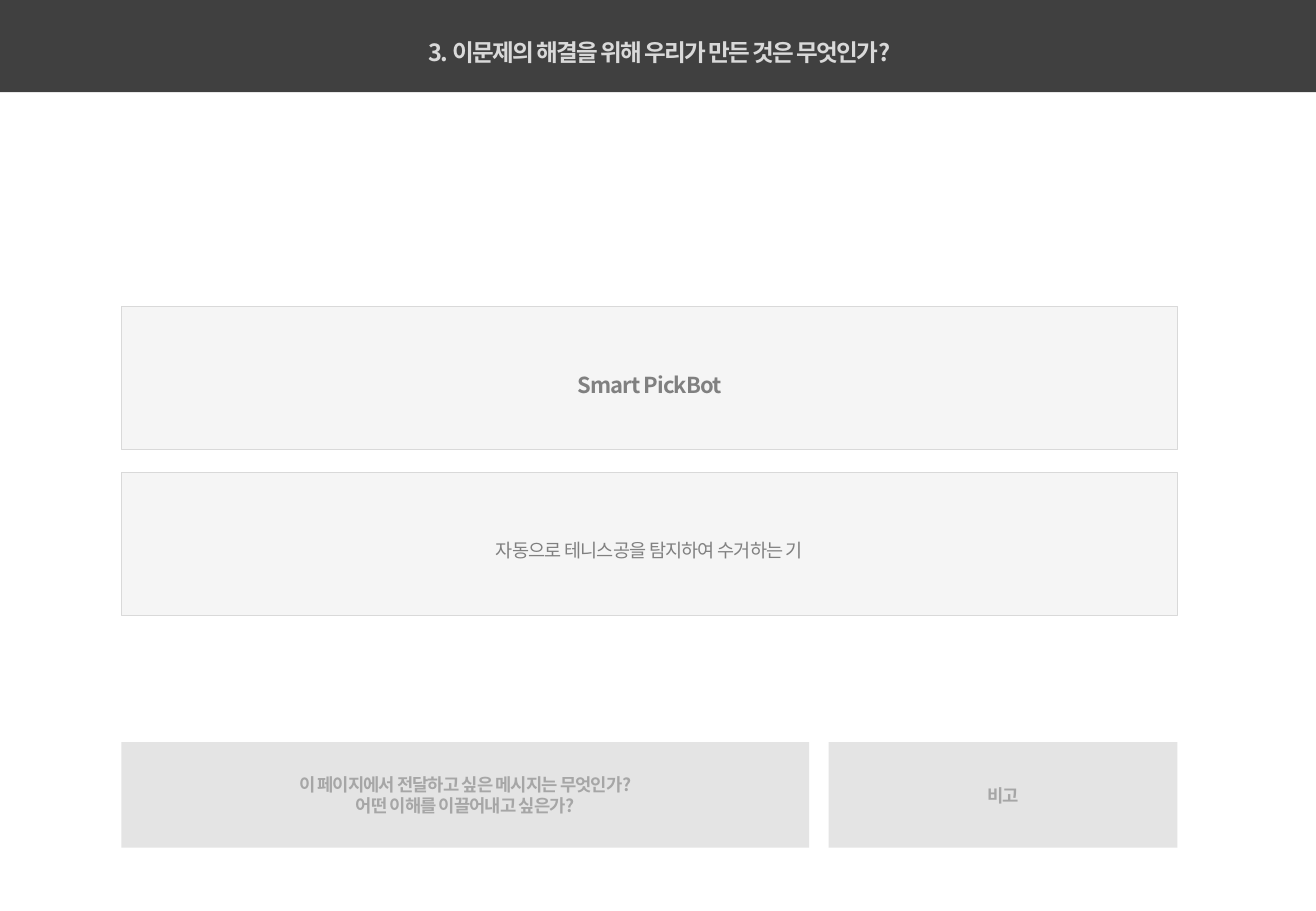
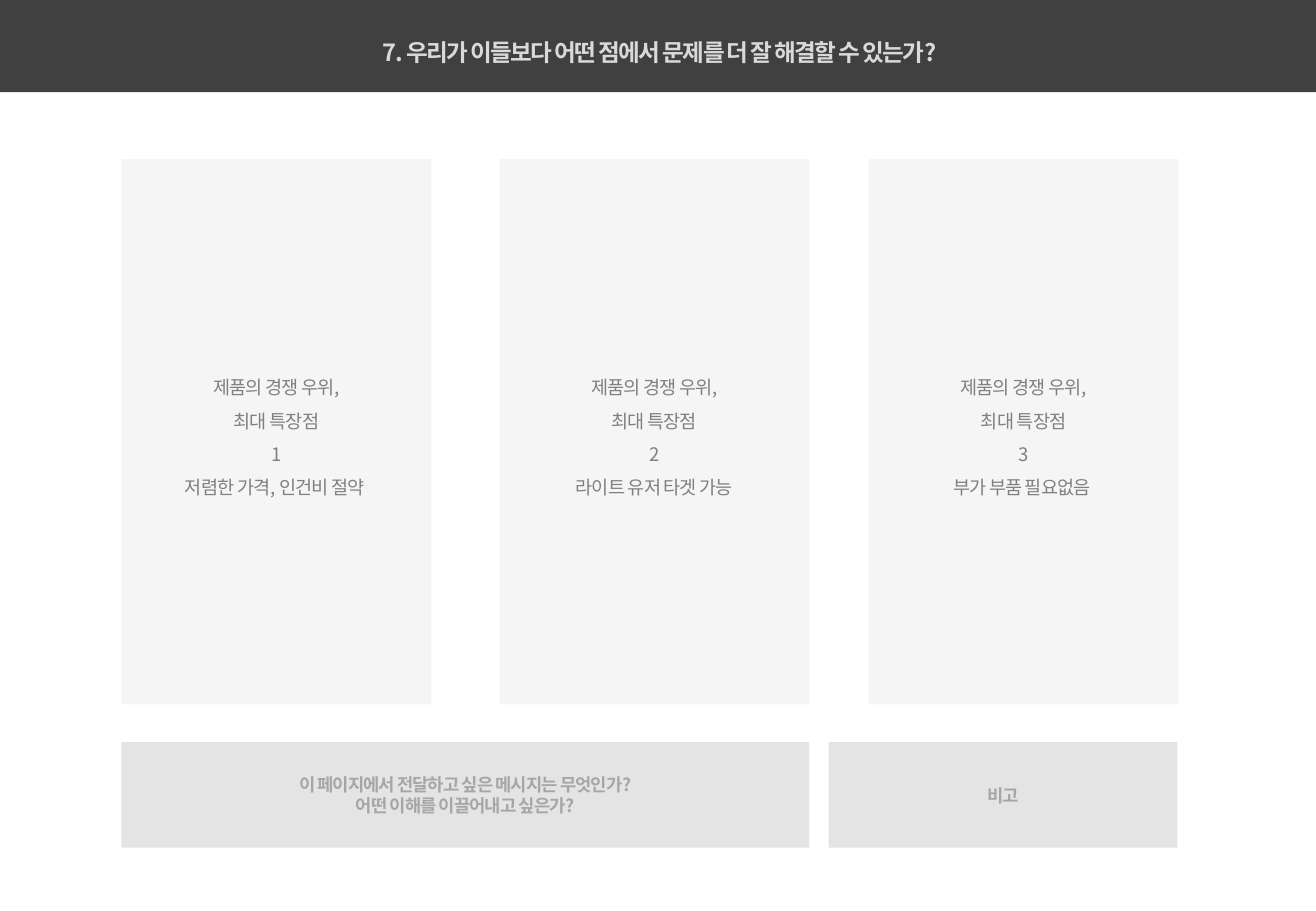
"""Build two question slides that share a title band and a footer."""
import dataclasses

import lxml.etree
import pptx
import pptx.dml.color
import pptx.enum.shapes
import pptx.enum.text
import pptx.oxml.ns
import pptx.util

Inches = pptx.util.Inches


@dataclasses.dataclass(frozen=True)
class Theme:
    font: str = "Noto Sans CJK KR"
    band: str = "404040"
    title: str = "D9D9D9"
    panel: str = "F2F2F2"
    border: str = "D9D9D9"
    body: str = "808080"
    footer: str = "D9D9D9"
    footer_text: str = "A6A6A6"
    opacity: int = 70
    title_size: float = 14
    name_size: float = 13
    body_size: float = 11
    footer_size: float = 10.5


theme = Theme()


def write_text(frame, text, size=theme.body_size, color=theme.body, bold=False,
               spacing=-0.5, line_spacing=None):
    """Fill a text frame with one centred paragraph per line."""
    for index, line in enumerate(text.split("\n")):
        paragraph = frame.paragraphs[0] if index == 0 else frame.add_paragraph()
        paragraph.alignment = pptx.enum.text.PP_ALIGN.CENTER
        paragraph.line_spacing = line_spacing
        run = paragraph.add_run()
        run.text = line
        run.font.size = pptx.util.Pt(size)
        run.font.bold = bold
        run.font.color.rgb = pptx.dml.color.RGBColor.from_string(color)
        run.font.name = theme.font
        properties = run.font._element
        properties.set("spc", str(round(spacing * 100)))
        east_asian = lxml.etree.SubElement(properties, pptx.oxml.ns.qn("a:ea"))
        east_asian.set("typeface", theme.font)


def add_box(slide, left, top, width, height, fill, opacity=theme.opacity, border=None):
    """Add a rectangle and return its text frame without margins."""
    shape = slide.shapes.add_shape(
        pptx.enum.shapes.MSO_SHAPE.RECTANGLE,
        Inches(left), Inches(top), Inches(width), Inches(height))
    shape.shadow.inherit = False
    shape.fill.solid()
    shape.fill.fore_color.rgb = pptx.dml.color.RGBColor.from_string(fill)
    if opacity < 100:
        color = shape._element.spPr.find(".//" + pptx.oxml.ns.qn("a:srgbClr"))
        alpha = lxml.etree.SubElement(color, pptx.oxml.ns.qn("a:alpha"))
        alpha.set("val", str(opacity * 1000))
    if border:
        shape.line.color.rgb = pptx.dml.color.RGBColor.from_string(border)
        shape.line.width = pptx.util.Pt(0.5)
    else:
        shape.line.fill.background()
    frame = shape.text_frame
    frame.margin_left = frame.margin_top = frame.margin_right = frame.margin_bottom = 0
    frame.vertical_anchor = pptx.enum.text.MSO_ANCHOR.MIDDLE
    frame.word_wrap = False
    return frame


slide_width = 10.83
margin = 1
content_width = 8.69

presentation = pptx.Presentation()
presentation.slide_width = Inches(slide_width)
presentation.slide_height = Inches(7.5)

titles = [
    " 3. 이문제의 해결을 위해 우리가 만든 것은 무엇인가?",
    " 7. 우리가 이들보다 어떤 점에서 문제를 더 잘 해결할 수 있는가?",
]
footers = [
    (margin, 5.66, "이 페이지에서 전달하고 싶은 메시지는 무엇인가?\n어떤 이해를 이끌어내고 싶은가?"),
    (6.82, 2.87, "비고"),
]
for title in titles:
    slide = presentation.slides.add_slide(presentation.slide_layouts[6])
    add_box(slide, 0, 0, slide_width, 0.76, theme.band, opacity=100)
    title_box = slide.shapes.add_textbox(0, Inches(0.26), Inches(slide_width), Inches(0.33))
    title_box.text_frame.word_wrap = True
    write_text(title_box.text_frame, title, size=theme.title_size, color=theme.title,
               bold=True, spacing=-1)
    for left, width, text in footers:
        frame = add_box(slide, left, 6.11, width, 0.87, theme.footer)
        write_text(frame, text, size=theme.footer_size, color=theme.footer_text, bold=True)

product_slide, advantage_slide = presentation.slides

product_rows = [
    ("Smart PickBot", theme.name_size, True),
    ("자동으로 테니스공을 탐지하여 수거하는 기", theme.body_size, False),
]
for row, (text, size, bold) in enumerate(product_rows):
    frame = add_box(product_slide, margin, 2.52 + row * 1.37, content_width, 1.18,
                    theme.panel, border=theme.border)
    write_text(frame, text, size=size, bold=bold, line_spacing=1.5)

advantages = [
    (margin, "저렴한 가격, 인건비 절약 "),
    (4.11, "라이트 유저 타겟 가능"),
    (7.15, "부가 부품 필요없음 "),
]
for number, (left, advantage) in enumerate(advantages, start=1):
    frame = add_box(advantage_slide, left, 1.31, 2.55, 4.49, theme.panel)
    write_text(frame, f"제품의 경쟁 우위,\n최대 특장점\n{number}\n{advantage}", line_spacing=1.5)

presentation.save("out.pptx")
